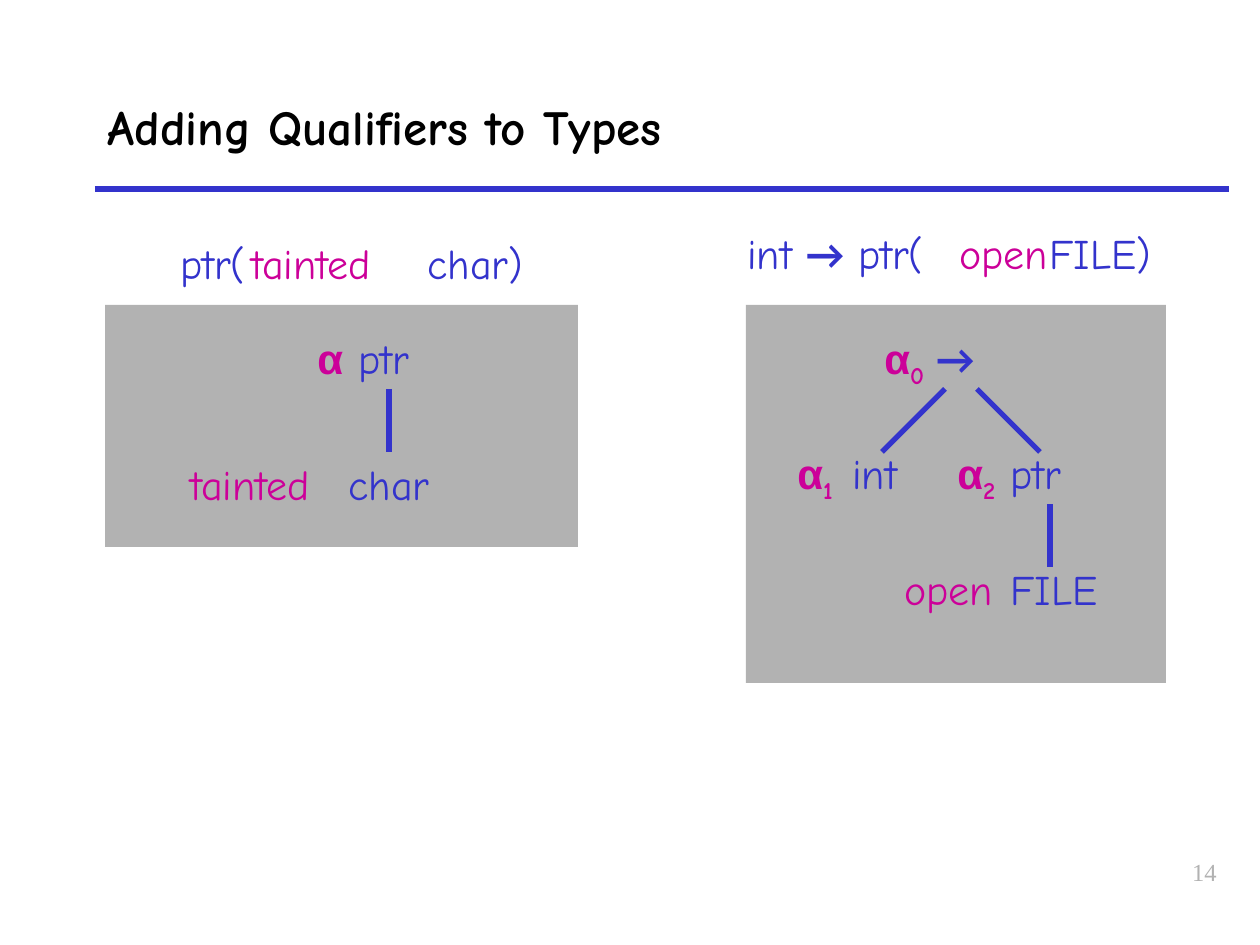
import dataclasses
import typing

import lxml.etree
import pptx
import pptx.dml.color
import pptx.enum.shapes
import pptx.enum.text
import pptx.oxml.ns
import pptx.util

BLUE = pptx.dml.color.RGBColor(0x33, 0x33, 0xCC)
MAGENTA = pptx.dml.color.RGBColor(0xCC, 0x00, 0x99)
GRAY = pptx.dml.color.RGBColor(0xB2, 0xB2, 0xB2)
BLACK = pptx.dml.color.RGBColor(0, 0, 0)
COMIC = "Comic Neue"
PX_PER_INCH = 126


@dataclasses.dataclass(frozen=True)
class Run:
    text: str
    color: pptx.dml.color.RGBColor = BLUE
    font: str = COMIC
    bold: bool = False
    size: int = 24
    subscript: bool = False


@dataclasses.dataclass(frozen=True)
class Label:
    left: int
    top: int
    width: int
    runs: tuple[Run, ...]
    align: pptx.enum.text.PP_ALIGN = pptx.enum.text.PP_ALIGN.LEFT


class Edge(typing.NamedTuple):
    x1: int
    y1: int
    x2: int
    y2: int


class Panel(typing.NamedTuple):
    left: int
    top: int
    width: int
    height: int


def px(n: int) -> pptx.util.Emu:
    return pptx.util.Emu(round(n * 914400 / PX_PER_INCH))


def qualifier(index: str = "") -> tuple[Run, ...]:
    alpha = Run("α", MAGENTA, "Arial", True)
    return (alpha, Run(index, MAGENTA, bold=True, subscript=True)) if index else (alpha,)


def add_run(p, run: Run) -> None:
    r = p.add_run()
    r.text = run.text
    r.font.name = run.font
    r.font.size = pptx.util.Pt(run.size)
    r.font.bold = run.bold
    r.font.color.rgb = run.color
    if run.subscript:
        r.font._element.set("baseline", "-25000")


def add_label(s, label: Label):
    sp = s.shapes.add_textbox(px(label.left), px(label.top), px(label.width), px(63))
    tf = sp.text_frame
    tf.word_wrap = True
    p = tf.paragraphs[0]
    p.alignment = label.align
    for run in label.runs:
        add_run(p, run)
    return sp


def add_panel(s, panel: Panel) -> None:
    sp = s.shapes.add_shape(pptx.enum.shapes.MSO_SHAPE.RECTANGLE, *map(px, panel))
    sp.shadow.inherit = False
    sp.fill.solid()
    sp.fill.fore_color.rgb = GRAY
    sp.line.fill.background()


def add_edge(s, edge: Edge):
    line = s.shapes.add_connector(pptx.enum.shapes.MSO_CONNECTOR.STRAIGHT, *map(px, edge))
    line.line.color.rgb = BLUE
    line.line.width = pptx.util.Pt(3)
    lxml.etree.SubElement(line._element.spPr, pptx.oxml.ns.qn("a:effectLst"))
    return line


def add_title(s, text: str) -> None:
    sp = s.shapes.title
    sp.left, sp.top, sp.width, sp.height = map(px, (95, 63, 1134, 126))
    tf = sp.text_frame
    tf.vertical_anchor = pptx.enum.text.MSO_ANCHOR.MIDDLE
    p = tf.paragraphs[0]
    p.alignment = pptx.enum.text.PP_ALIGN.LEFT
    add_run(p, Run(text, BLACK, bold=True, size=28))


ARROW = Run("→", font="Calibri", bold=True)
TAINTED = (Run("tainted", MAGENTA),)
OPEN = (Run("open", MAGENTA),)
PANELS = [Panel(105, 305, 473, 242), Panel(746, 305, 420, 420 - 42)]
LABELS = [
    Label(168, 231, 90, (Run("ptr("),)),
    Label(239, 231, 160, TAINTED),
    Label(415, 231, 125, (Run("char)"),)),
    Label(735, 221, 210, (Run("int "), ARROW, Run(" ptr("))),
    Label(947, 221, 118, OPEN),
    Label(1037, 221, 145, (Run("FILE)"),)),
    Label(305, 326, 52, qualifier()),
    Label(346, 326, 116, (Run("ptr"),)),
    Label(178, 452, 168, TAINTED),
    Label(336, 452, 114, (Run("char"),)),
    Label(872, 326, 70, qualifier("0")),
    Label(924, 326, 84, (ARROW,)),
    Label(785, 441, 70, qualifier("1")),
    Label(840, 441, 104, (Run("int"),)),
    Label(945, 441, 70, qualifier("2")),
    Label(892, 557, 116, OPEN),
    Label(998, 557, 158, (Run("FILE"),)),
    Label(966, 851, 263, (Run("14", GRAY, "Times New Roman", size=14),),
          pptx.enum.text.PP_ALIGN.RIGHT),
]
POINTER = Label(998, 441, 104, (Run("ptr"),))
EDGES = [
    Edge(95, 189, 1229, 189),
    Edge(389, 389, 389, 452),
    Edge(945, 389, 882, 452),
    Edge(977, 389, 1040, 452),
]


def main() -> None:
    """Build the slide showing qualifiers attached to type trees."""
    prs = pptx.Presentation()
    prs.slide_width, prs.slide_height = px(1260), px(945)
    s = prs.slides.add_slide(prs.slide_layouts[5])
    add_title(s, "Adding Qualifiers to Types")
    for panel in PANELS:
        add_panel(s, panel)
    for edge in EDGES:
        add_edge(s, edge)
    for label in LABELS:
        add_label(s, label)
    pointer = add_label(s, POINTER)
    add_edge(s, Edge(1050, 504, 1050, 567)).begin_connect(pointer, 2)
    prs.save("out.pptx")


if __name__ == "__main__":
    main()
